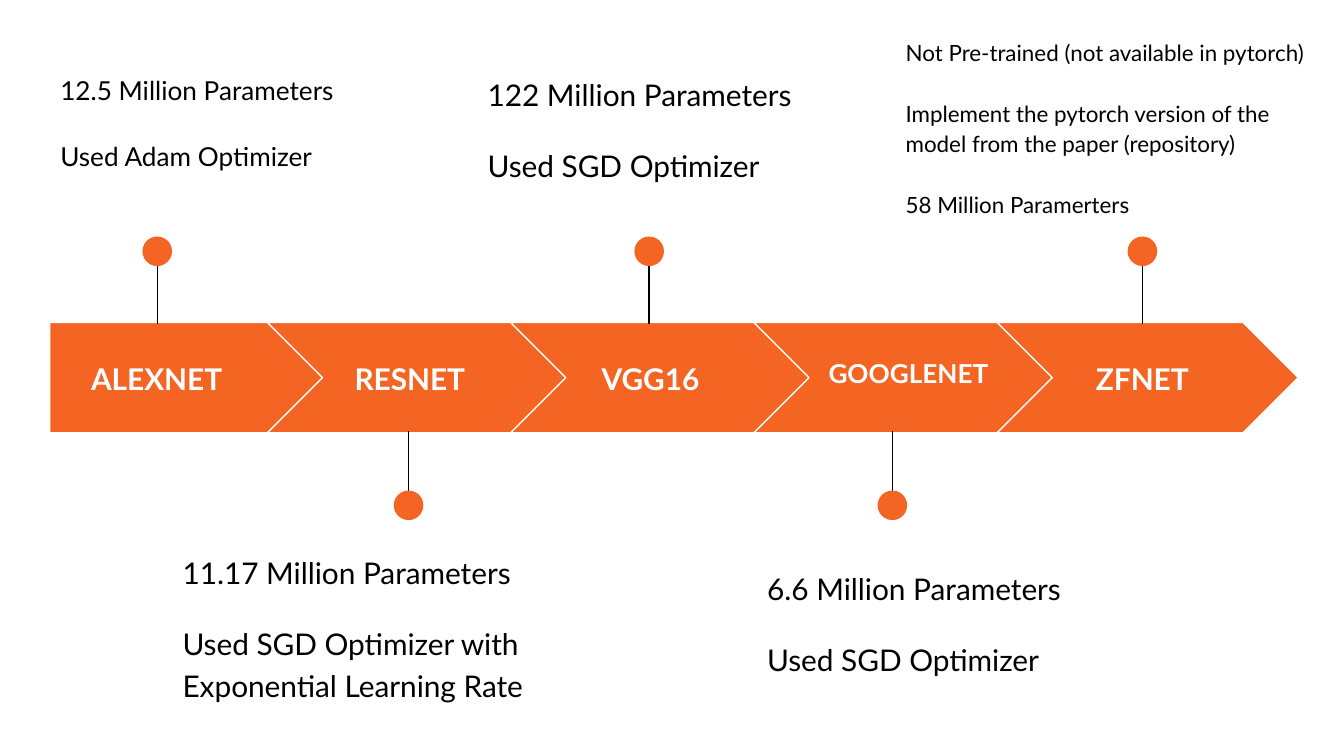
from lxml import etree
from pptx import Presentation
from pptx.dml.color import RGBColor
from pptx.enum.shapes import MSO_CONNECTOR, MSO_SHAPE
from pptx.enum.text import MSO_ANCHOR, PP_ALIGN
from pptx.oxml.ns import qn
from pptx.util import Inches, Pt

PENTAGON, CHEVRON, OVAL = MSO_SHAPE.PENTAGON, MSO_SHAPE.CHEVRON, MSO_SHAPE.OVAL
STRAIGHT = MSO_CONNECTOR.STRAIGHT
MIDDLE, TOP = MSO_ANCHOR.MIDDLE, MSO_ANCHOR.TOP
CENTER, LEFT = PP_ALIGN.CENTER, PP_ALIGN.LEFT

FONT = "Lato"
ORANGE, WHITE, BLACK = "F46524", "FFFFFF", "000000"

MODELS = [
    {"name": "ALEXNET", "size": 16, "label": (0.37, 2.56, 1.59, 0.51), "pin": 1.17,
     "note": (0.35, 0.42, 2.45, 0.99), "note_size": 14,
     "lines": ["12.5 Million Parameters", "Used Adam Optimizer"]},
    {"name": "RESNET", "size": 16, "label": (2.33, 2.56, 1.44, 0.51), "pin": 3.04,
     "note": (1.26, 3.99, 2.79, 1.24), "note_size": 16,
     "lines": ["11.17 Million Parameters",
               "Used SGD Optimizer with Exponential Learning Rate"]},
    {"name": "VGG16", "size": 16, "label": (4.12, 2.56, 1.44, 0.51), "pin": 4.83,
     "note": (3.53, 0.43, 2.6, 0.99), "note_size": 16,
     "lines": ["122 Million Parameters", "Used SGD Optimizer"]},
    {"name": "GOOGLENET", "size": 14, "label": (6.04, 2.52, 1.44, 0.51), "pin": 6.64,
     "note": (5.61, 4.11, 2.78, 0.99), "note_size": 16,
     "lines": ["6.6 Million Parameters", "Used SGD Optimizer"]},
    {"name": "ZFNET", "size": 16, "label": (7.78, 2.56, 1.44, 0.51), "pin": 8.5,
     "note": (6.64, 0.16, 3.24, 1.8), "note_size": 12,
     "lines": ["Not Pre-trained (not available in pytorch)",
               "Implement the pytorch version of the model from the paper (repository)",
               "58 Million Paramerters"]},
]

BAND_TOP, BAND_HEIGHT = 2.4, 0.82
FIRST_LEFT, FIRST_WIDTH = 0.37, 2.05
CHEVRON_LEFT, CHEVRON_WIDTH, CHEVRON_STEP = 1.99, 2.24, 1.81
DOT = 0.22
PIN_ABOVE = {"dot_top": 1.76, "start": 1.8, "end": 2.41}
PIN_BELOW = {"dot_top": 3.65, "start": 3.82, "end": 3.21}


def color(value):
    return RGBColor.from_string(value)


def inches(values):
    return [Inches(value) for value in values]


def add_filled(slide, kind, area, outline=None):
    shape = slide.shapes.add_shape(kind, *inches(area))
    shape.shadow.inherit = False
    shape.fill.solid()
    shape.fill.fore_color.rgb = color(ORANGE)
    if outline:
        shape.line.color.rgb = color(outline)
        shape.line.width = Pt(0.75)
    else:
        shape.line.fill.background()
    return shape


def add_text(slide, area, lines, size, ink, bold=False, anchor=TOP, align=LEFT,
             spacing=1.0, after=0):
    box = slide.shapes.add_textbox(*inches(area))
    frame = box.text_frame
    frame.word_wrap = True
    frame.vertical_anchor = anchor
    frame.margin_left = frame.margin_right = Inches(0.1)
    frame.margin_top = frame.margin_bottom = Inches(0.1)
    for index, line in enumerate(lines):
        para = frame.add_paragraph() if index else frame.paragraphs[0]
        para.alignment = align
        para.line_spacing = spacing
        para.space_after = Pt(after)
        span = para.add_run()
        span.text = line
        span.font.name = FONT
        span.font.size = Pt(size)
        span.font.bold = bold
        span.font.color.rgb = color(ink)


def add_pin(slide, x, pin):
    stem = slide.shapes.add_connector(
        STRAIGHT, *inches((x, pin["start"], x, pin["end"])))
    stem.line.color.rgb = color(BLACK)
    stem.line.width = Pt(0.75)
    etree.SubElement(stem._element.spPr, qn("a:effectLst"))
    add_filled(slide, OVAL, (x - DOT / 2, pin["dot_top"], DOT, DOT))


def add_model(slide, index, model):
    if index == 0:
        kind, left, width = PENTAGON, FIRST_LEFT, FIRST_WIDTH
    else:
        kind, width = CHEVRON, CHEVRON_WIDTH
        left = CHEVRON_LEFT + (index - 1) * CHEVRON_STEP
    arrow = add_filled(slide, kind, (left, BAND_TOP, width, BAND_HEIGHT), WHITE)
    arrow.adjustments[0] = 0.5
    add_text(slide, model["label"], [model["name"]], model["size"], WHITE,
             bold=True, anchor=MIDDLE, align=CENTER)
    add_pin(slide, model["pin"], PIN_BELOW if index % 2 else PIN_ABOVE)
    add_text(slide, model["note"], model["lines"], model["note_size"], BLACK,
             spacing=1.15, after=16)


def main():
    deck = Presentation()
    deck.slide_width = Inches(10)
    deck.slide_height = deck.slide_width * 9 // 16
    page = deck.slides.add_slide(deck.slide_layouts[6])
    for index, model in enumerate(MODELS):
        add_model(page, index, model)
    deck.save("out.pptx")


if __name__ == "__main__":
    main()
